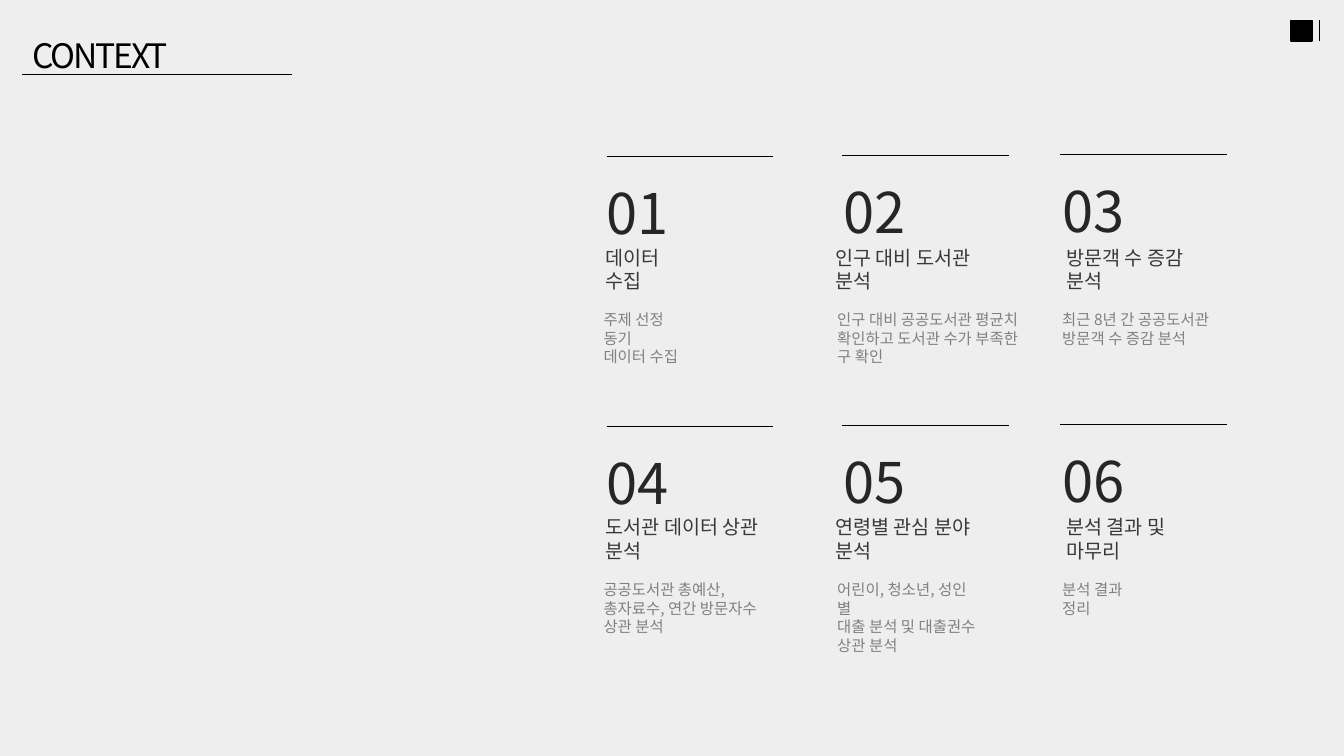
import dataclasses

import pptx
import pptx.dml.color
import pptx.enum.shapes
import pptx.enum.text
import pptx.oxml.ns
import pptx.util
import lxml.etree

Cm = pptx.util.Cm
Pt = pptx.util.Pt


@dataclasses.dataclass(frozen=True)
class Style:
    """Type size in points and text colour."""
    size: int
    color: str


@dataclasses.dataclass(frozen=True)
class Theme:
    """Colours and type styles of the slide."""
    font: str = "Noto Sans CJK KR"
    background: str = "EEEEEE"
    ink: str = "000000"
    title: Style = Style(24, "000000")
    number: Style = Style(40, "262626")
    heading: Style = Style(14, "3B3838")
    detail: Style = Style(11, "808080")


@dataclasses.dataclass(frozen=True)
class Column:
    """Left edge, rule lift and text offsets of a column, in centimetres."""
    left: float
    lift: float
    number: float
    heading: float
    detail: float


@dataclasses.dataclass(frozen=True)
class Topic:
    """Wording of one topic and the widths of its two text boxes."""
    heading: str
    heading_width: float
    details: tuple
    detail_width: float


THEME = Theme()
COLUMNS = (
    Column(15.29, 0, -0.25, -0.28, -0.33),
    Column(21.23, 0.03, -0.23, -0.43, -0.38),
    Column(26.72, 0.05, -0.2, -0.1, -0.2),
)
TOPICS = (
    Topic("데이터 수집", 2.84, ("주제 선정 동기", "데이터 수집"), 2.79),
    Topic("인구 대비 도서관 분석", 4.88,
          ("인구 대비 공공도서관 평균치", "확인하고 도서관 수가 부족한", "구 확인"), 5.08),
    Topic("방문객 수 증감 분석", 4.42, ("최근 8년 간 공공도서관", "방문객 수 증감 분석"), 4.29),
    Topic("도서관 데이터 상관 분석", 5.31,
          ("공공도서관 총예산,", "총자료수, 연간 방문자수", "상관 분석"), 4.39),
    Topic("연령별 관심 분야 분석", 4.88,
          ("어린이, 청소년, 성인 별", "대출 분석 및 대출권수", "상관 분석"), 4.17),
    Topic("분석 결과 및 마무리", 4.42, ("분석 결과 정리",), 2.79),
)


def rgb(code):
    """Return a colour from its hexadecimal code."""
    return pptx.dml.color.RGBColor.from_string(code)


def write(box, lines, style):
    """Fill a box with one paragraph per line in the given style."""
    frame = box.text_frame
    frame.text = "\n".join(lines)
    frame.word_wrap = True
    frame.vertical_anchor = pptx.enum.text.MSO_ANCHOR.TOP
    for para in frame.paragraphs:
        para.alignment = pptx.enum.text.PP_ALIGN.LEFT
        para.font.size = Pt(style.size)
        para.font.name = THEME.font
        para.font.color.rgb = rgb(style.color)


def add_text(page, left, top, width, height, lines, style):
    """Add a styled text box placed in centimetres."""
    box = page.shapes.add_textbox(Cm(left), Cm(top), Cm(width), Cm(height))
    write(box, lines, style)


def add_rule(page, left, top, width=0, height=0):
    """Add a thin straight rule placed in centimetres."""
    rule = page.shapes.add_connector(
        pptx.enum.shapes.MSO_CONNECTOR.STRAIGHT,
        Cm(left), Cm(top), Cm(left + width), Cm(top + height))
    rule.line.color.rgb = rgb(THEME.ink)
    rule.line.width = Pt(0.5)
    properties = rule._element.spPr
    lxml.etree.SubElement(properties, pptx.oxml.ns.qn("a:effectLst"))


def add_header(page, left, top, width, height):
    """Place the slide title and the rule beneath it."""
    title = page.shapes.title
    title.left, title.top = Cm(left), Cm(top)
    title.width, title.height = Cm(width), Cm(height)
    write(title, ["CONTEXT"], THEME.title)
    span = title.text_frame.paragraphs[0].runs[0]
    span.font._element.set("spc", "-150")
    add_rule(page, left, top + 1.14, width=6.81)


def add_corner_mark(page, left, top, size):
    """Place the black square and its upright rule."""
    square = page.shapes.add_shape(
        pptx.enum.shapes.MSO_SHAPE.RECTANGLE, Cm(left), Cm(top), Cm(size), Cm(size))
    square.shadow.inherit = False
    square.fill.solid()
    square.fill.fore_color.rgb = rgb(THEME.ink)
    square.line.color.rgb = rgb(THEME.ink)
    square.line.width = Pt(1)
    add_rule(page, left + 0.71, top, height=size)


def add_topic(page, column, top, number, topic):
    """Place a rule, number, heading and details for one topic."""
    add_rule(page, column.left, top - column.lift, width=4.19)
    add_text(page, column.left + column.number, top + 0.43 - column.lift, 2.11, 1.96,
             [f"{number:02d}"], THEME.number)
    add_text(page, column.left + column.heading, top + 2.12, topic.heading_width, 0.86,
             [topic.heading], THEME.heading)
    add_text(page, column.left + column.detail, top + 3.76, topic.detail_width,
             0.26 + 0.47 * len(topic.details), topic.details, THEME.detail)


def add_topics(page, top, pitch):
    """Place the topics row by row across the columns."""
    for index, topic in enumerate(TOPICS):
        row, position = divmod(index, len(COLUMNS))
        add_topic(page, COLUMNS[position], top + row * pitch, index + 1, topic)


def main():
    """Build and save the slide."""
    deck = pptx.Presentation()
    deck.slide_width, deck.slide_height = Cm(33.87), Cm(19.05)
    page = deck.slides.add_slide(deck.slide_layouts[5])
    page.background.fill.solid()
    page.background.fill.fore_color.rgb = rgb(THEME.background)
    add_header(page, 0.56, 0.74, 7.92, 1.27)
    add_corner_mark(page, 32.54, 0.51, 0.53)
    add_topics(page, 3.94, 6.8)
    deck.save("out.pptx")


if __name__ == "__main__":
    main()
